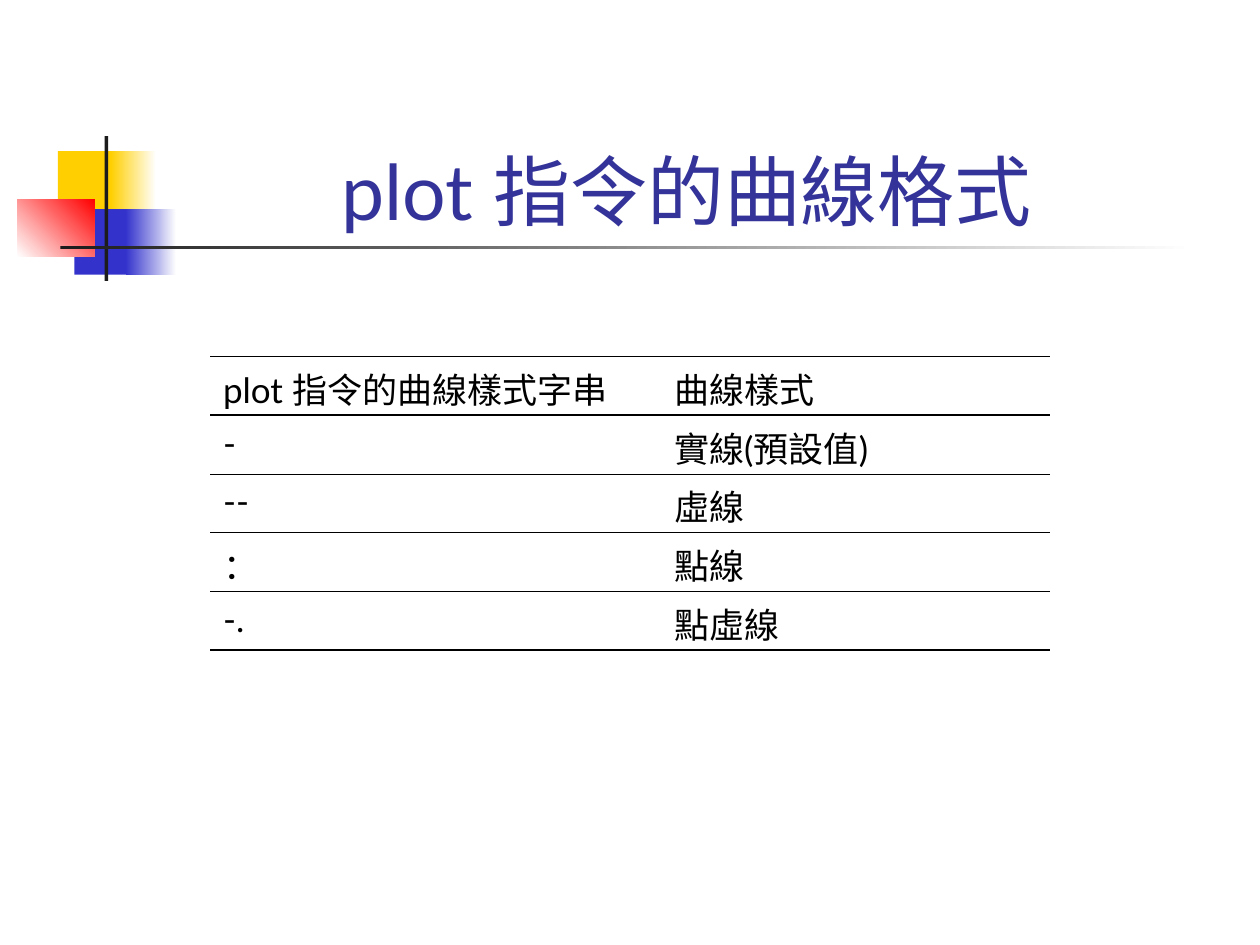
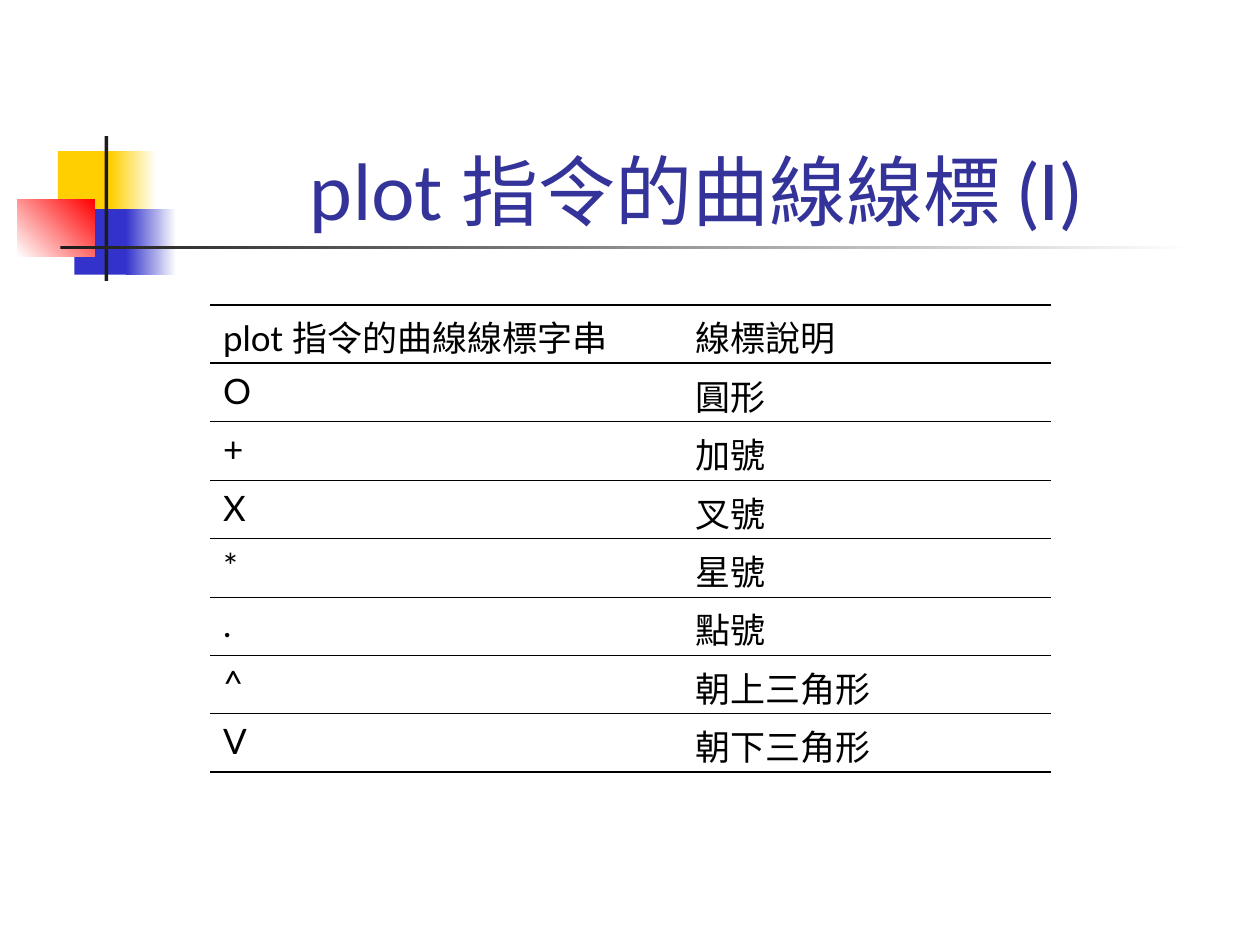
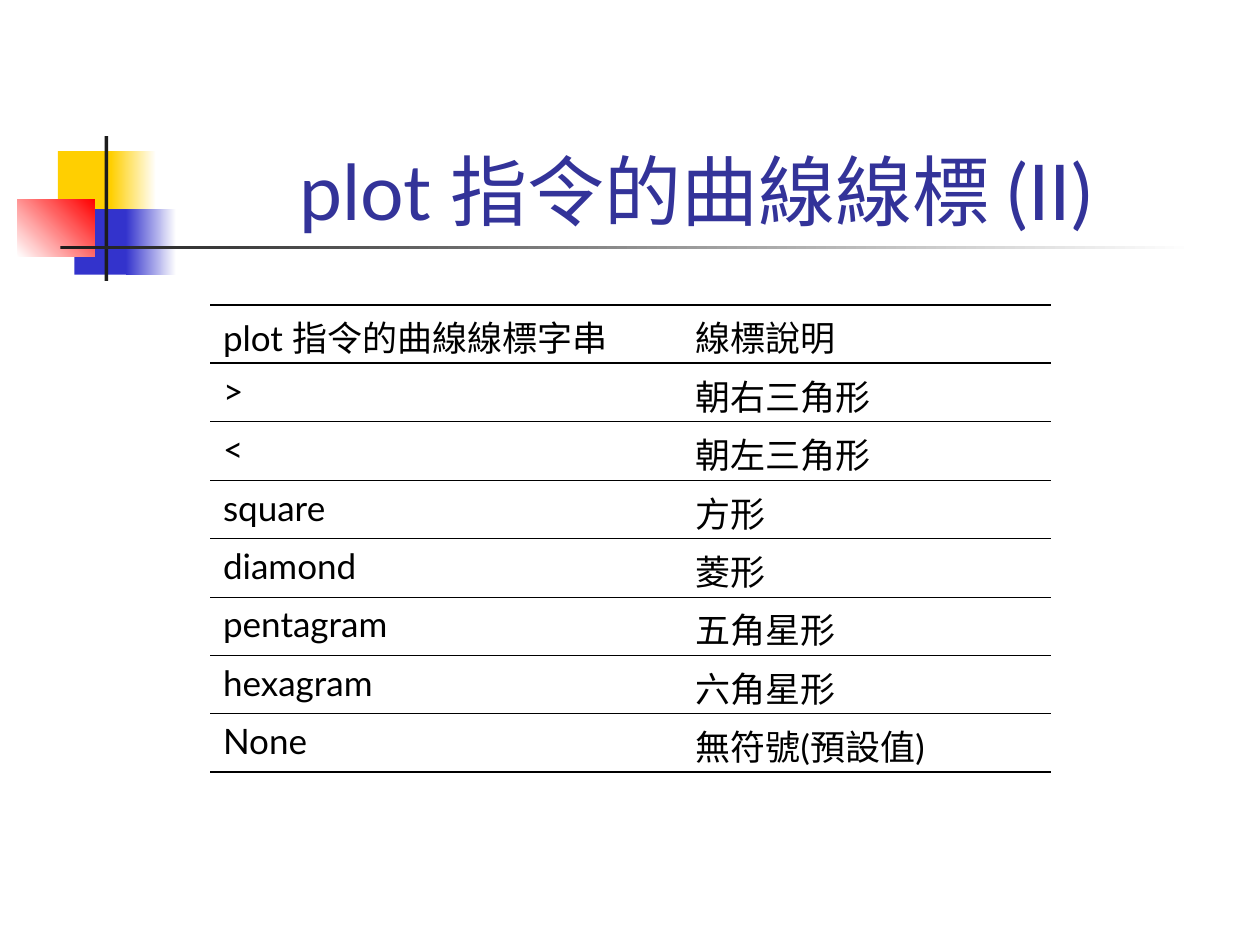
import pptx
import pptx.util
import pptx.dml.color
import pptx.enum.shapes
import pptx.enum.text
import pptx.oxml.ns
import lxml.etree

Inches = pptx.util.Inches
Pt = pptx.util.Pt

FONT = "Lato"
COLORS = {
    "yellow": "FFCF01",
    "blue": "3333CC",
    "red": "FF0000",
    "dark": "1C1C1C",
    "white": "FFFFFF",
    "title": "333399",
    "text": "000000",
}
THICK, THIN = 1.08, 0.45

# Left, top, width, height, colours (two make a gradient), gradient angle
DECORATION = [
    (0.46, 1.2, 0.48, 0.52, ["yellow"], 0),
    (0.88, 1.2, 0.36, 0.52, ["yellow", "white"], 0),
    (0.59, 1.66, 0.46, 0.52, ["blue"], 0),
    (1, 1.66, 0.4, 0.52, ["blue", "white"], 0),
    (0.14, 1.58, 0.61, 0.46, ["white", "red"], 45),
    (0.83, 1.08, 0.03, 1.15, ["dark"], 0),
    (0.48, 1.95, 9, 0.03, ["dark", "white"], 0),
]

LINE_STYLES = [
    ("plot 指令的曲線樣式字串", "曲線樣式"),
    ("-", "實線(預設值)"),
    ("--", "虛線"),
    ("：", "點線"),
    ("-.", "點虛線"),
]
MARKER_HEADER = ("plot 指令的曲線線標字串", "線標說明")
MARKERS_ONE = [
    MARKER_HEADER,
    ("O", "圓形"),
    ("+", "加號"),
    ("X", "叉號"),
    ("*", "星號"),
    (".", "點號"),
    ("^", "朝上三角形"),
    ("V", "朝下三角形"),
]
MARKERS_TWO = [
    MARKER_HEADER,
    (">", "朝右三角形"),
    ("<", "朝左三角形"),
    ("square", "方形"),
    ("diamond", "菱形"),
    ("pentagram", "五角星形"),
    ("hexagram", "六角星形"),
    ("None", "無符號(預設值)"),
]


def color(name):
    return pptx.dml.color.RGBColor.from_string(COLORS[name])


def style_paragraph(paragraph, size, color_name):
    paragraph.font.name = FONT
    paragraph.font.size = Pt(size)
    paragraph.font.color.rgb = color(color_name)


def add_block(page, left, top, width, height, names, angle):
    block = page.shapes.add_shape(
        pptx.enum.shapes.MSO_SHAPE.RECTANGLE,
        Inches(left), Inches(top), Inches(width), Inches(height))
    block.shadow.inherit = False
    block.line.fill.background()
    if len(names) == 1:
        block.fill.solid()
        block.fill.fore_color.rgb = color(names[0])
    else:
        block.fill.gradient()
        block.fill.gradient_angle = angle
        for stop, name in zip(block.fill.gradient_stops, names):
            stop.color.rgb = color(name)


def add_title(page, text):
    box = page.shapes.add_textbox(
        Inches(1.26), Inches(0.67), Inches(8.52), Inches(1.25))
    frame = box.text_frame
    frame.word_wrap = True
    frame.vertical_anchor = pptx.enum.text.MSO_ANCHOR.BOTTOM
    paragraph = frame.paragraphs[0]
    paragraph.text = text
    paragraph.alignment = pptx.enum.text.PP_ALIGN.CENTER
    style_paragraph(paragraph, 44, "title")


def add_border(cell, side, points=None):
    """Draw one side of a cell, or hide it when no width is given."""
    qn = pptx.oxml.ns.qn
    properties = cell._tc.get_or_add_tcPr()
    line = lxml.etree.SubElement(properties, qn(f"a:ln{side}"))
    if points is None:
        lxml.etree.SubElement(line, qn("a:noFill"))
        return
    line.set("w", str(int(Pt(points))))
    fill = lxml.etree.SubElement(line, qn("a:solidFill"))
    lxml.etree.SubElement(fill, qn("a:srgbClr"), val=COLORS["text"])


def add_ruled_table(page, rows, top, height, column_widths):
    table = page.shapes.add_table(
        len(rows), len(column_widths), Inches(1.67), Inches(top),
        Inches(sum(column_widths)), Inches(height)).table
    table.first_row = False
    table.horz_banding = False
    for column, width in zip(table.columns, column_widths):
        column.width = Inches(width)

    # Thick rules frame the header and close the table
    rules = [THICK, THICK] + [THIN] * (len(rows) - 2) + [THICK]
    for row_index, row in enumerate(rows):
        for column_index, text in enumerate(row):
            cell = table.cell(row_index, column_index)
            add_border(cell, "L")
            add_border(cell, "R")
            add_border(cell, "T", rules[row_index])
            add_border(cell, "B", rules[row_index + 1])
            cell.fill.background()
            paragraph = cell.text_frame.paragraphs[0]
            paragraph.text = text
            paragraph.space_before = Pt(5)
            style_paragraph(paragraph, 20, "text")


def add_page(deck, title, rows, top, height, column_widths):
    page = deck.slides.add_slide(deck.slide_layouts[6])
    for block in DECORATION:
        add_block(page, *block)
    add_title(page, title)
    add_ruled_table(page, rows, top, height, column_widths)


def main():
    deck = pptx.Presentation()
    deck.slide_width = Inches(10)
    deck.slide_height = Inches(7.5)

    add_page(deck, "plot 指令的曲線格式 ", LINE_STYLES, 2.83, 2.33, (3.58, 3.08))
    marker_layout = (2.42, 3.71, (3.75, 2.92))
    add_page(deck, "plot 指令的曲線線標 (I)", MARKERS_ONE, *marker_layout)
    add_page(deck, "plot 指令的曲線線標 (II)", MARKERS_TWO, *marker_layout)

    deck.save("out.pptx")


if __name__ == "__main__":
    main()
